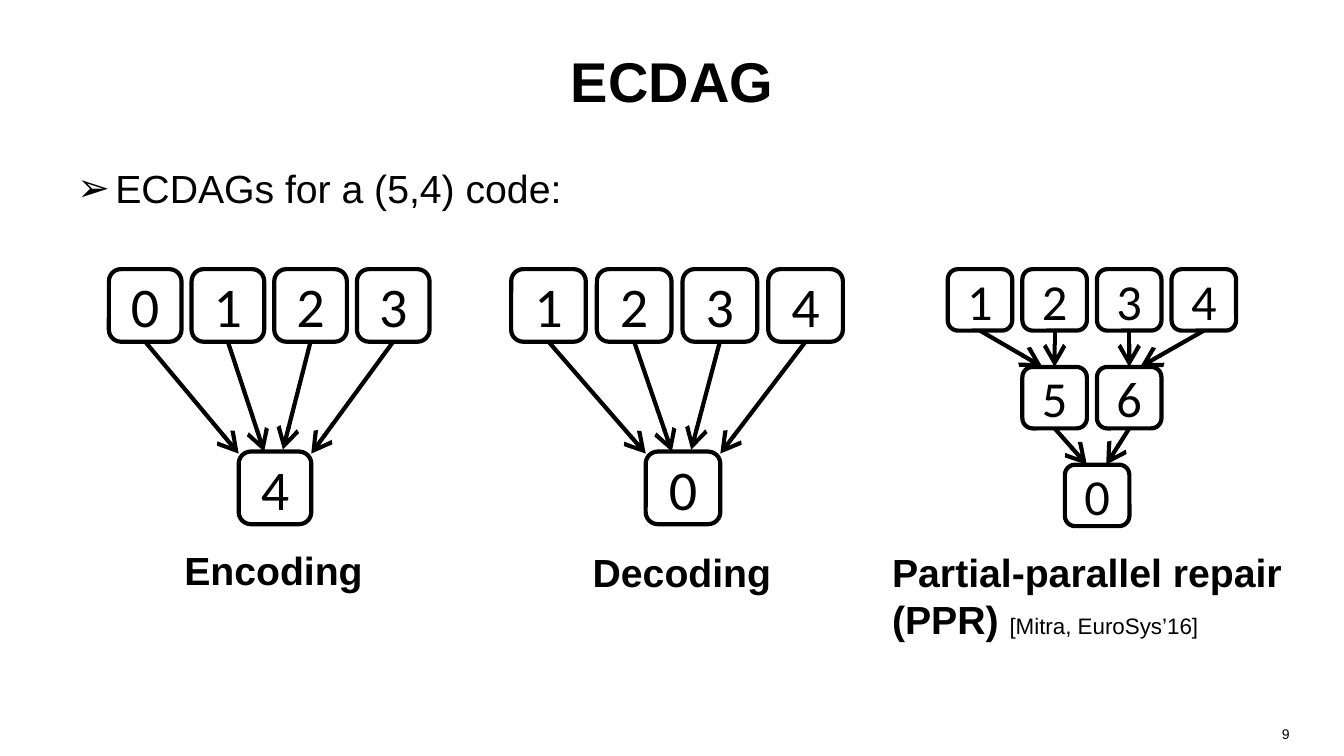
from lxml.etree import SubElement
from pptx import Presentation
from pptx.dml.color import RGBColor
from pptx.enum.shapes import MSO_CONNECTOR, MSO_SHAPE
from pptx.enum.text import MSO_ANCHOR, MSO_AUTO_SIZE, PP_ALIGN
from pptx.oxml.ns import qn
from pptx.util import Inches, Pt

BLACK = "000000"
WIDTH, HEIGHT = 13.33, 7.5
TOP = 2.67  # top of the first row of nodes
ROOT_COLUMN = 1.57  # the root sits between the second and third columns
BOTTOM_SIDE, TOP_SIDE = 2, 0

# Arrow ends on the root: share of its width, drop below its top
FAN_ENDS = [(0, 0.02), (0.35, 0), (0.61, -0.02), (1, 0.02)]


def fan(leaves, root):
    """Nodes and arrows of four leaves that meet in one root."""
    nodes = [(label, column, 0) for column, label in enumerate(leaves)]
    nodes.append((root, ROOT_COLUMN, 1))
    arrows = [(leaf, root, *end) for leaf, end in zip(leaves, FAN_ENDS)]
    return nodes, arrows


# Nodes: label, column, row. Arrows: source, target, share, drop
TREE_NODES = [("1", 0, 0), ("2", 1, 0), ("3", 2, 0), ("4", 3, 0),
              ("5", 1, 1), ("6", 2, 1), ("0", ROOT_COLUMN, 2)]
TREE_ARROWS = [("1", "5", 0.31, 0), ("2", "5", 0.5, 0), ("3", "6", 0.5, 0),
               ("4", "6", 0.67, 0), ("5", "0", 0.34, 0), ("6", "0", 0.64, 0)]


def color(hex_string):
    return RGBColor.from_string(hex_string)


def add_run(paragraph, text, size, bold=False, font="Arial"):
    run = paragraph.add_run()
    run.text = text
    run.font.name = font
    run.font.size = Pt(size)
    run.font.bold = bold
    run.font.color.rgb = color(BLACK)


def add_text(shapes, box, runs, align=PP_ALIGN.LEFT, wrap=True, grow=False):
    """Add a text box; each run is (text, size, bold)."""
    frame = shapes.add_textbox(*map(Inches, box)).text_frame
    frame.word_wrap = wrap
    frame.auto_size = MSO_AUTO_SIZE.SHAPE_TO_FIT_TEXT if grow else MSO_AUTO_SIZE.NONE
    paragraph = frame.paragraphs[0]
    paragraph.alignment = align
    for text, size, bold in runs:
        add_run(paragraph, text, size, bold)
    return paragraph


def add_bullet(paragraph, character, indent):
    properties = paragraph._p.get_or_add_pPr()
    properties.set("marL", str(Inches(indent)))
    properties.set("indent", str(-Inches(indent)))
    SubElement(properties, qn("a:buFont"), typeface="Arial")
    SubElement(properties, qn("a:buChar"), char=character)


def add_node(shapes, box, label, size):
    node = shapes.add_shape(MSO_SHAPE.ROUNDED_RECTANGLE, *map(Inches, box))
    node.shadow.inherit = False
    node.fill.background()
    node.line.color.rgb = color(BLACK)
    node.line.width = Pt(3)
    node.text_frame.vertical_anchor = MSO_ANCHOR.MIDDLE
    paragraph = node.text_frame.paragraphs[0]
    paragraph.alignment = PP_ALIGN.CENTER
    add_run(paragraph, label, size, font="Calibri")
    return node


def add_arrow(shapes, source, target, share, drop):
    """Draw from the source's bottom middle to a point on the target's top."""
    arrow = shapes.add_connector(
        MSO_CONNECTOR.STRAIGHT,
        source.left + source.width // 2, source.top + source.height,
        target.left + int(target.width * share), target.top + Inches(drop))
    arrow.begin_connect(source, BOTTOM_SIDE)
    if share == 0.5:
        arrow.end_connect(target, TOP_SIDE)
    arrow.line.color.rgb = color(BLACK)
    arrow.line.width = Pt(3)
    SubElement(arrow.line._get_or_add_ln(), qn("a:tailEnd"),
               type="arrow", w="lg", len="lg")
    SubElement(arrow._element.spPr, qn("a:effectLst"))


def add_diagram(slide, left, pitch, node_size, graph, label_size):
    """Place nodes by column and row, join them, and return the group's shapes."""
    shapes = slide.shapes.add_group_shape().shapes
    nodes, arrows = graph
    placed = {}
    for label, column, row in nodes:
        box = (left + column * pitch[0], TOP + row * pitch[1], *node_size)
        placed[label] = add_node(shapes, box, label, label_size)
    for source, target, share, drop in arrows:
        add_arrow(shapes, placed[source], placed[target], share, drop)
    return shapes


def add_title(slide, text):
    title = slide.shapes.title
    title.left, title.top = Inches(0.05 * WIDTH), Inches(0.17)
    title.width, title.height = Inches(0.9 * WIDTH), Inches(1.25)
    title.text_frame.vertical_anchor = MSO_ANCHOR.MIDDLE
    paragraph = title.text_frame.paragraphs[0]
    paragraph.alignment = PP_ALIGN.CENTER
    add_run(paragraph, text, 40, bold=True)


def main():
    presentation = Presentation()
    presentation.slide_width = Inches(WIDTH)
    presentation.slide_height = Inches(HEIGHT)
    slide = presentation.slides.add_slide(presentation.slide_layouts[5])

    # Title, statement and page number
    add_title(slide, "ECDAG")
    statement = add_text(slide.shapes, (0.05 * WIDTH, 1.58, 0.9 * WIDTH, 0.92),
                         [("ECDAGs for a (5,4) code:", 28, False)])
    add_bullet(statement, "➢", 0.38)
    add_text(slide.shapes, (9.78, 7.15, 3.11, 0.35), [("9", 10, False)],
             align=PP_ALIGN.RIGHT)

    # Encoding
    encoding = add_diagram(slide, 1.08, (0.82, 1.81), (0.72, 0.72),
                           fan("0123", "4"), 40)
    add_text(encoding, (1.73, 5.37, 1.99, 0.57), [("Encoding", 28, True)],
             wrap=False, grow=True)

    # Decoding
    decoding = add_diagram(slide, 5.07, (0.85, 1.81), (0.74, 0.72),
                           fan("1234", "0"), 40)
    add_text(decoding, (5.78, 5.39, 1.99, 0.57), [("Decoding", 28, True)],
             wrap=False, grow=True)

    # Partial-parallel repair
    repair = add_diagram(slide, 9.4, (0.74, 0.97), (0.64, 0.61),
                         (TREE_NODES, TREE_ARROWS), 36)
    add_text(repair, (8.75, 5.39, 4.17, 1.04),
             [("Partial-parallel repair (PPR) ", 28, True),
              ("[Mitra, EuroSys’16]", 16, False)], grow=True)

    presentation.save("out.pptx")


if __name__ == "__main__":
    main()
